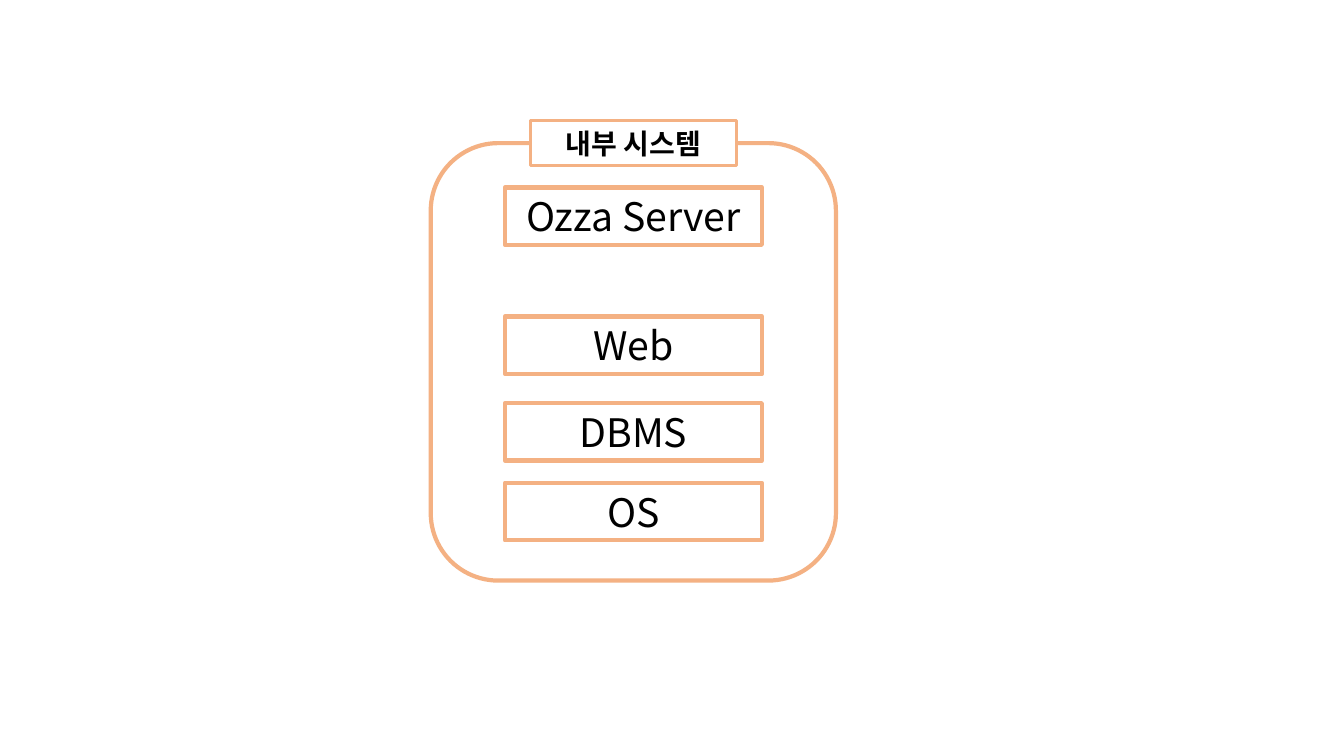
from lxml.etree import SubElement
from pptx import Presentation
from pptx.dml.color import RGBColor
from pptx.enum.shapes import MSO_SHAPE
from pptx.enum.text import MSO_ANCHOR, PP_ALIGN
from pptx.oxml.ns import qn
from pptx.util import Inches, Pt

COLUMNS, ROWS = 160, 90
BLANK_LAYOUT = 6


def color(value):
    return RGBColor.from_string(value)


def write_text(shape, text, size, font, fill, bold=False):
    frame = shape.text_frame
    frame.word_wrap = True
    frame.vertical_anchor = MSO_ANCHOR.MIDDLE
    paragraph = frame.paragraphs[0]
    paragraph.alignment = PP_ALIGN.CENTER
    run = paragraph.add_run()
    run.text = text
    run.font.name = font
    run.font.size = Pt(size)
    run.font.bold = bold
    run.font.color.rgb = color(fill)
    east_asian = SubElement(run.font._element, qn("a:ea"))
    east_asian.set("typeface", font)


class SystemDiagram:
    font = "Noto Sans CJK KR"
    outline = "F4B183"
    background = "FFFFFF"
    ink = "000000"

    def __init__(self, presentation):
        self.slide = presentation.slides.add_slide(presentation.slide_layouts[BLANK_LAYOUT])
        self.column = presentation.slide_width / COLUMNS
        self.row = presentation.slide_height / ROWS

    def outlined(self, kind, center, top, width, height, weight):
        shape = self.slide.shapes.add_shape(
            kind,
            round((center - width / 2) * self.column),
            round(top * self.row),
            round(width * self.column),
            round(height * self.row),
        )
        shape.shadow.inherit = False
        shape.line.color.rgb = color(self.outline)
        shape.line.width = Pt(weight)
        return shape

    def frame(self, center, top, width, height):
        shape = self.outlined(MSO_SHAPE.ROUNDED_RECTANGLE, center, top, width, height, 3)
        shape.fill.background()

    def box(self, text, center, top, width, height, size=28, weight=3, bold=False):
        shape = self.outlined(MSO_SHAPE.RECTANGLE, center, top, width, height, weight)
        shape.fill.solid()
        shape.fill.fore_color.rgb = color(self.background)
        write_text(shape, text, size=size, font=self.font, fill=self.ink, bold=bold)


def main():
    presentation = Presentation()
    presentation.slide_width = Inches(13.33)
    presentation.slide_height = Inches(7.5)
    diagram = SystemDiagram(presentation)

    axis = 75.4
    frame_top = 17.04
    label_height = 5.28
    diagram.frame(axis, frame_top, 48.24, 52.08)
    diagram.box("내부 시스템", axis, frame_top - label_height / 2, 24.48, label_height,
                size=20, weight=2.25, bold=True)

    layers = {"Ozza Server": 22.32, "Web": 37.68, "DBMS": 48, "OS": 57.48}
    for name, top in layers.items():
        diagram.box(name, axis, top, 30.6, 6.84)

    presentation.save("out.pptx")


if __name__ == "__main__":
    main()
